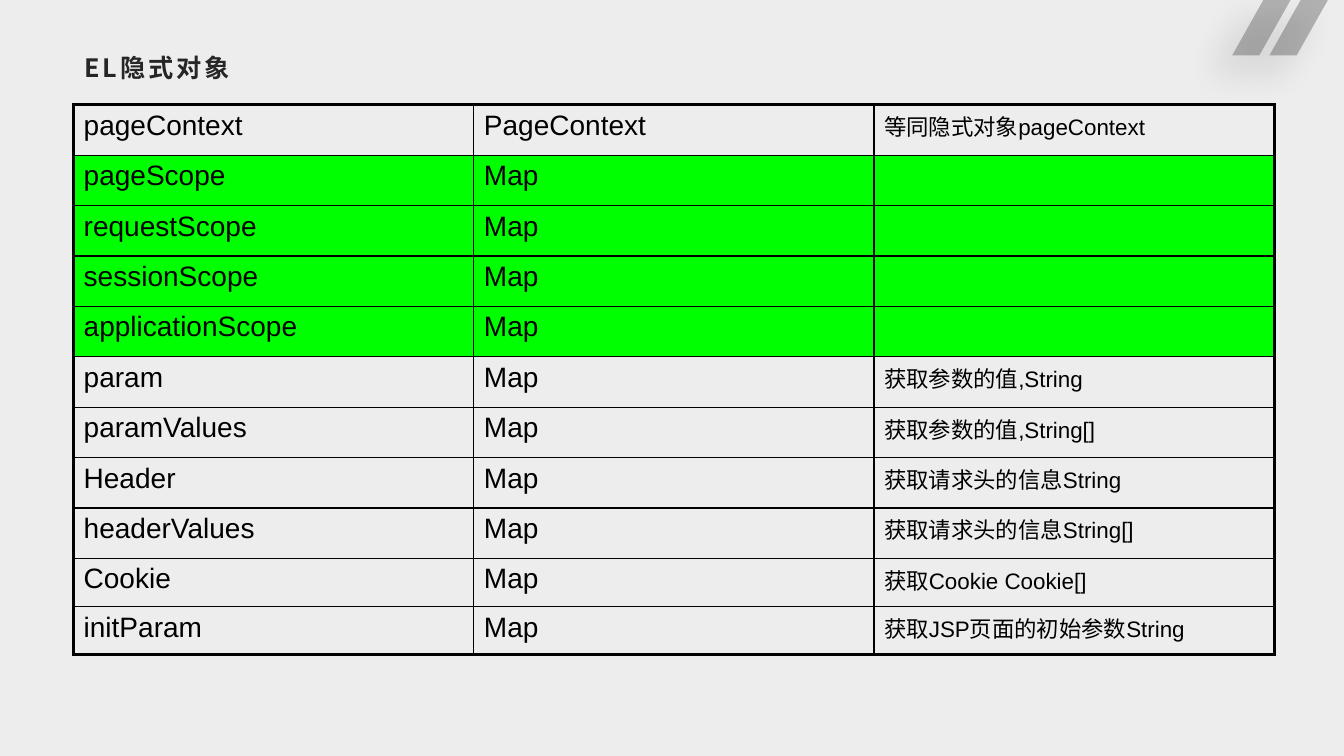
"""Build the slide listing the EL implicit objects."""
from lxml import etree
from pptx import Presentation, util as u
from pptx.dml.color import RGBColor
from pptx.oxml import parse_xml
from pptx.oxml.ns import nsdecls, qn

COLORS = {"page": "EDEDED", "dark": "262626", "scope": "00FF00", "black": "000000"}
CJK = "Noto Sans CJK SC"
ROWS = [
    ("pageContext", "PageContext", "等同隐式对象pageContext"),
    ("pageScope", "Map", ""),
    ("requestScope", "Map", ""),
    ("sessionScope", "Map", ""),
    ("applicationScope", "Map", ""),
    ("param", "Map", "获取参数的值,String"),
    ("paramValues", "Map", "获取参数的值,String[]"),
    ("Header", "Map", "获取请求头的信息String"),
    ("headerValues", "Map", "获取请求头的信息String[]"),
    ("Cookie", "Map", "获取Cookie Cookie[]"),
    ("initParam", "Map", "获取JSP页面的初始参数String"),
]
HEIGHTS = [0.5] * 9 + [0.48, 0.47]
COLUMN_SIZES = [20, 20, 16]


def style_span(span, color, **values):
    for name, value in values.items():
        setattr(span.font, name, value)
    span.font.color.rgb = RGBColor.from_string(COLORS[color])
    etree.SubElement(span.font._element, qn("a:ea"), typeface=CJK)


def draw_borders(cell, widths):
    properties = cell._tc.get_or_add_tcPr()
    for index, (side, width) in enumerate(widths.items()):
        properties.insert(index, parse_xml(
            f'<a:ln{side} {nsdecls("a")} w="{u.Pt(width)}"><a:solidFill>'
            f'<a:srgbClr val="{COLORS["black"]}"/></a:solidFill></a:ln{side}>'))


deck = Presentation()
deck.slide_width, deck.slide_height = u.Inches(13.33), u.Inches(7.5)
page = deck.slides.add_slide(deck.slide_layouts[6])
page.background.fill.solid()
page.background.fill.fore_color.rgb = RGBColor.from_string(COLORS["page"])

builder = page.shapes.build_freeform(u.Inches(12.91), 0, scale=1.0)
for start, left in enumerate((12.22, 12.59)):
    corners = [(left + 0.31, 0), (left + 0.58, 0), (left + 0.27, 0.55), (left, 0.55)]
    points = [(u.Inches(x), u.Inches(y)) for x, y in corners]
    builder.move_to(*points[0])
    builder.add_line_segments(points[1:], close=True)
stripes = builder.convert_to_shape()
stripes.line.fill.background()
stripes.fill.solid()
stripes.fill.fore_color.rgb = RGBColor.from_string(COLORS["dark"])
tint = stripes._element.spPr.find(qn("a:solidFill"))[0]
etree.SubElement(tint, qn("a:alpha"), val="30000")
stripes._element.spPr.append(parse_xml(
    f'<a:effectLst {nsdecls("a")}><a:outerShdw blurRad="{u.Pt(26)}" dist="{u.Pt(19)}" '
    f'dir="{135 * 60000}" algn="tr" rotWithShape="0"><a:srgbClr val="{COLORS["black"]}">'
    '<a:alpha val="40000"/></a:srgbClr></a:outerShdw></a:effectLst>'))

box = page.shapes.add_textbox(*map(u.Inches, (0.73, 0.48, 11.87, 0.48)))
frame = box.text_frame
frame.word_wrap = True
margins = {"margin_left": 0.11, "margin_top": 0.04, "margin_right": 0.08, "margin_bottom": 0.04}
for name, value in margins.items():
    setattr(frame, name, u.Inches(value))
span = frame.paragraphs[0].add_run()
span.text = "EL隐式对象"
style_span(span, "dark", name=CJK, size=u.Pt(18), bold=True)
span.font._element.set("spc", "200")

area = map(u.Inches, (0.73, 1.04, 11.91, sum(HEIGHTS)))
table = page.shapes.add_table(len(ROWS), 3, *area).table
table.first_row = table.horz_banding = False
for column in table.columns:
    column.width = u.Inches(3.97)
for r, (values, height) in enumerate(zip(ROWS, HEIGHTS)):
    table.rows[r].height = u.Inches(height)
    for c, (value, size) in enumerate(zip(values, COLUMN_SIZES)):
        cell = table.cell(r, c)
        if values[0].endswith("Scope"):
            cell.fill.solid()
            cell.fill.fore_color.rgb = RGBColor.from_string(COLORS["scope"])
        else:
            cell.fill.background()
        outer = {"L": c == 0, "R": c == 2, "T": r == 0, "B": r == len(ROWS) - 1}
        draw_borders(cell, {side: 2.25 if edge else 1 for side, edge in outer.items()})
        if value:
            span = cell.text_frame.paragraphs[0].add_run()
            span.text = value
            style_span(span, "black", name="Arial", size=u.Pt(size))

deck.save("out.pptx")
